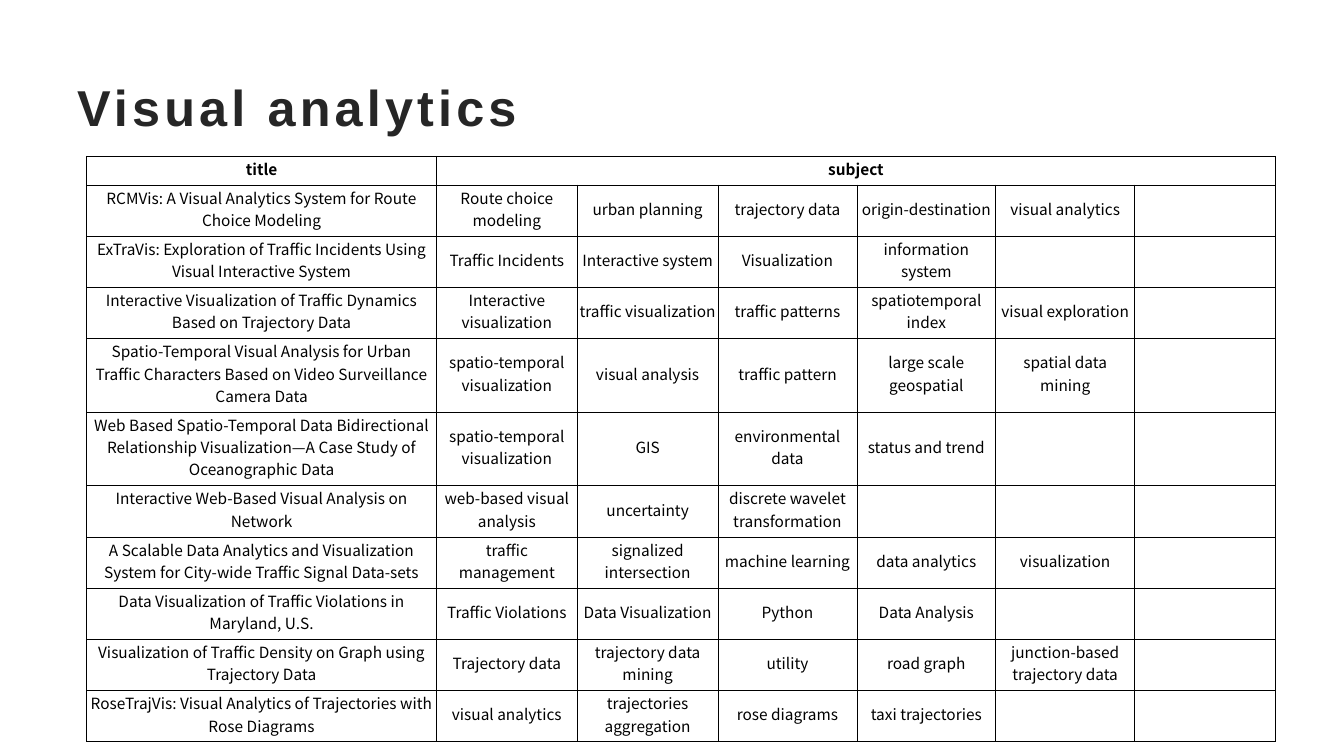
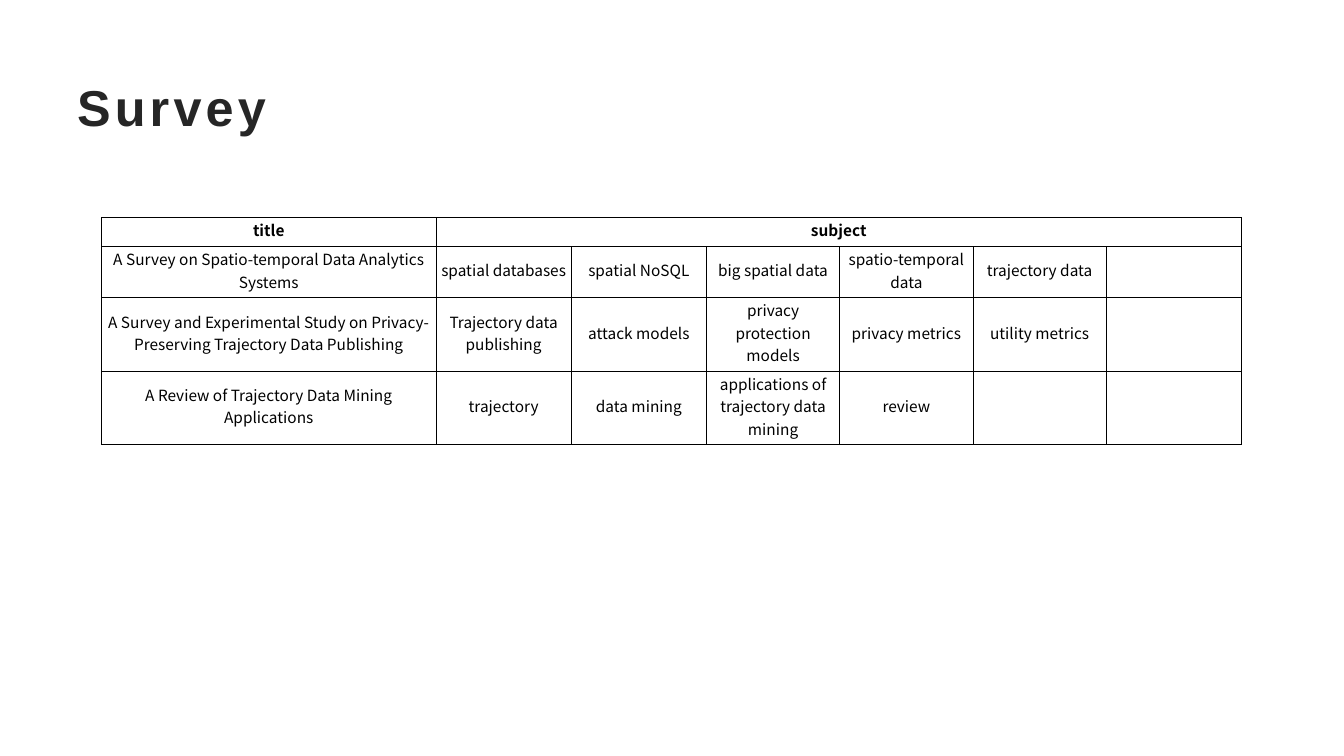
from dataclasses import dataclass

from lxml import etree
from pptx import Presentation
from pptx import util as u
from pptx.dml.color import RGBColor
from pptx.enum import text
from pptx.oxml import ns

Pt = u.Pt


@dataclass(frozen=True)
class Theme:
    """Colours, fonts and type sizes shared by the slides."""
    title_font: str = "Arial"
    title_size: float = 36
    title_color: str = "262626"
    title_spacing: float = 3
    table_font: str = "Noto Sans CJK SC"
    table_size: float = 11
    table_color: str = "000000"
    border_width: float = 0.5


THEME = Theme()
COLUMN_COUNT = 7
ROW_HEIGHTS = {1: 20.6, 2: 36.6, 3: 52.5}

ANALYTICS = [
    ("RCMVis: A Visual Analytics System for Route\nChoice Modeling",
     "Route choice modeling", "urban planning", "trajectory data",
     "origin-destination", "visual analytics"),
    ("ExTraVis: Exploration of Traffic Incidents Using Visual Interactive System",
     "Traffic Incidents", "Interactive system", "Visualization",
     "information system"),
    ("Interactive Visualization of Traffic Dynamics Based on Trajectory Data",
     "Interactive visualization", "traffic visualization", "traffic patterns",
     "spatiotemporal index", "visual exploration"),
    ("Spatio-Temporal Visual Analysis for Urban Traffic Characters Based on "
     "Video Surveillance Camera Data",
     "spatio-temporal visualization", "visual analysis", "traffic pattern",
     "large scale geospatial", "spatial data mining"),
    ("Web Based Spatio-Temporal Data Bidirectional Relationship "
     "Visualization\u2014A Case Study of Oceanographic Data",
     "spatio-temporal visualization", "GIS", "environmental data",
     "status and trend"),
    ("Interactive Web-Based Visual Analysis on Network",
     "web-based visual analysis", "uncertainty",
     "discrete wavelet transformation"),
    ("A Scalable Data Analytics and Visualization System for City-wide "
     "Traffic Signal Data-sets",
     "traffic management", "signalized intersection", "machine learning",
     "data analytics", "visualization"),
    ("Data Visualization of Traffic Violations in Maryland, U.S.",
     "Traffic Violations", "Data Visualization", "Python", "Data Analysis"),
    ("Visualization of Traffic Density on Graph using Trajectory Data",
     "Trajectory data", "trajectory data mining", "utility", "road graph",
     "junction-based trajectory data"),
    ("RoseTrajVis: Visual Analytics of Trajectories with Rose Diagrams",
     "visual analytics", "trajectories aggregation", "rose diagrams",
     "taxi trajectories"),
]
ANALYTICS_LINES = [2, 2, 2, 3, 3, 2, 2, 2, 2, 2]

SURVEYS = [
    ("A Survey on Spatio-temporal Data Analytics Systems",
     "spatial databases", "spatial NoSQL", "big spatial data",
     "spatio-temporal data", "trajectory data"),
    ("A Survey and Experimental Study on Privacy-Preserving Trajectory Data "
     "Publishing",
     "Trajectory data publishing", "attack models",
     "privacy protection models", "privacy metrics", "utility metrics"),
    ("A Review of Trajectory Data Mining Applications",
     "trajectory", "data mining", "applications of trajectory data mining",
     "review"),
]
SURVEY_LINES = [2, 3, 3]


def style_font(font, name, size, color, bold):
    """Set the face, size, colour and weight of a font."""
    font.name, font.size, font.bold = name, Pt(size), bold
    font.color.rgb = RGBColor.from_string(color)


def add_title(page, wording):
    """Add the letter-spaced slide title."""
    box = page.shapes.add_textbox(Pt(48), Pt(48), Pt(864), Pt(55.5))
    frame = box.text_frame
    frame.word_wrap = True
    frame.vertical_anchor = text.MSO_ANCHOR.MIDDLE
    para = frame.paragraphs[0]
    style_font(para.font, THEME.title_font, THEME.title_size,
               THEME.title_color, True)
    span = para.add_run()
    span.text = wording
    span._r.get_or_add_rPr().set("spc", str(round(THEME.title_spacing * 100)))


def add_borders(cell):
    """Draw a thin line on all four sides of a cell."""
    properties = cell._tc.get_or_add_tcPr()
    for side in ("lnL", "lnR", "lnT", "lnB"):
        line = etree.SubElement(properties, ns.qn(f"a:{side}"),
                                w=str(Pt(THEME.border_width)))
        fill = etree.SubElement(line, ns.qn("a:solidFill"))
        etree.SubElement(fill, ns.qn("a:srgbClr"), val=THEME.table_color)


def fill_cell(cell, wording, bold):
    """Write centred text into a bordered cell without fill."""
    cell.margin_left = cell.margin_right = Pt(1.1)
    cell.margin_top, cell.margin_bottom = Pt(0.75), Pt(3.6)
    cell.vertical_anchor = text.MSO_ANCHOR.MIDDLE
    add_borders(cell)
    cell.fill.background()
    cell.text_frame.text = wording
    for para in cell.text_frame.paragraphs:
        para.alignment = text.PP_ALIGN.CENTER
        style_font(para.font, THEME.table_font, THEME.table_size,
                   THEME.table_color, bold)


def add_paper_table(page, left, top, title_width, subject_width, papers, lines):
    """Add a table of paper titles and their subjects."""
    narrow = subject_width - 1.4
    widths = [title_width, subject_width, subject_width,
              narrow, narrow, narrow, subject_width]
    heights = [ROW_HEIGHTS[count] for count in (1, *lines)]
    rows = [("title", "subject"), *papers]
    table = page.shapes.add_table(len(rows), COLUMN_COUNT, Pt(left), Pt(top),
                                  Pt(sum(widths)), Pt(sum(heights))).table
    table.first_row = table.horz_banding = False
    for column, width in zip(table.columns, widths):
        column.width = Pt(width)
    for index, (row, height, words) in enumerate(zip(table.rows, heights, rows)):
        row.height = Pt(height)
        padded = [*words, *[""] * (COLUMN_COUNT - len(words))]
        for cell, wording in zip(row.cells, padded):
            fill_cell(cell, wording, index == 0)
    table.cell(0, 1).merge(table.cell(0, COLUMN_COUNT - 1))


def add_page(deck, title, **table):
    """Add a slide with a title and a paper table."""
    page = deck.slides.add_slide(deck.slide_layouts[6])
    add_title(page, title)
    add_paper_table(page, **table)


def main():
    """Build and save the deck."""
    deck = Presentation()
    deck.slide_width, deck.slide_height = Pt(960), Pt(540)
    add_page(deck, "Visual analytics", left=62, top=111.5, title_width=249.8,
             subject_width=100.6, papers=ANALYTICS, lines=ANALYTICS_LINES)
    add_page(deck, "Survey", left=72.5, top=155.5, title_width=239,
             subject_width=96.6, papers=SURVEYS, lines=SURVEY_LINES)
    deck.save("out.pptx")


main()
